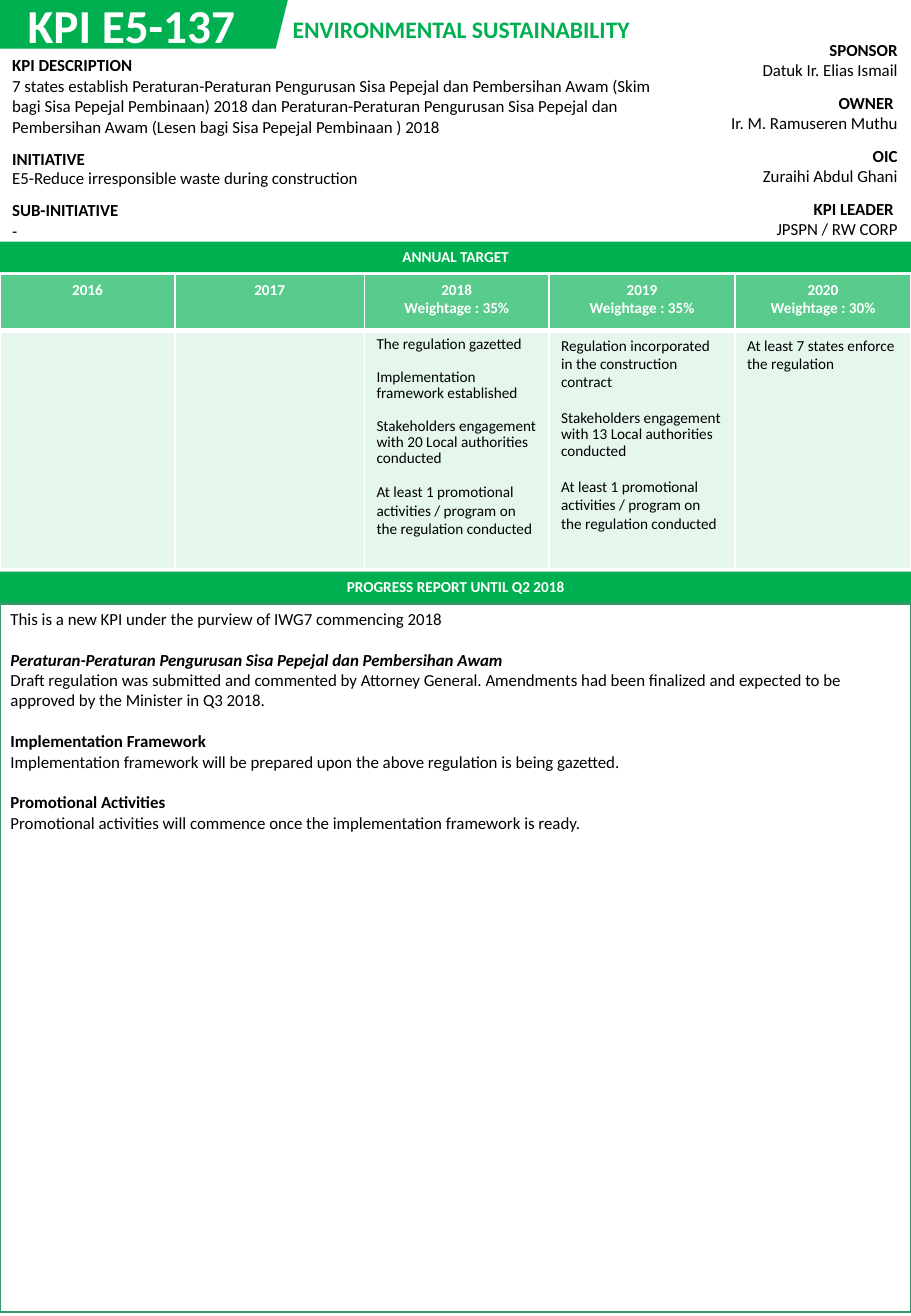
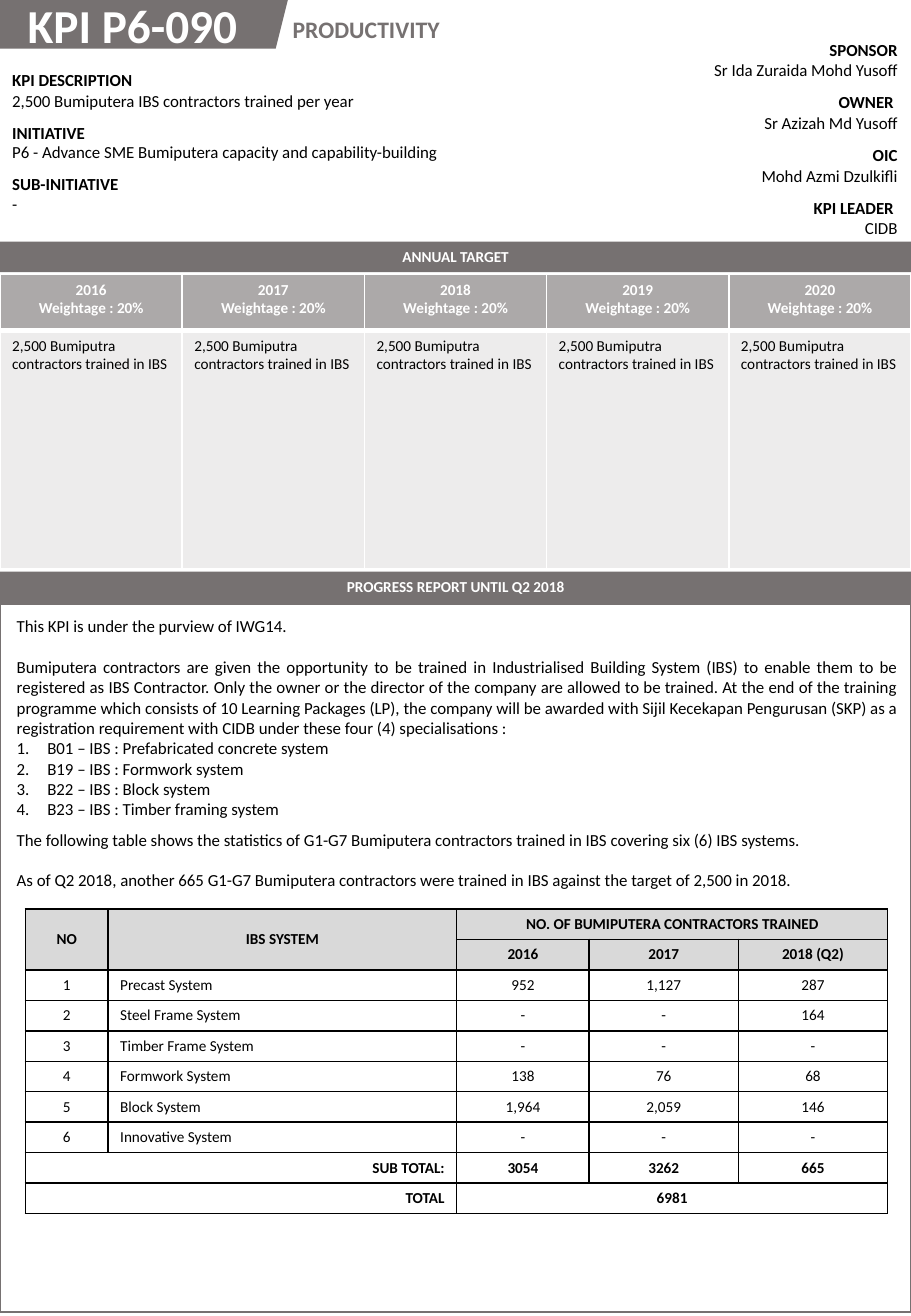
"""Build two KPI report pages with a shared header, target table and progress report."""
from lxml import etree
from pptx import Presentation
from pptx.dml.color import RGBColor
from pptx.enum.shapes import MSO_SHAPE
from pptx.enum.text import MSO_ANCHOR, PP_ALIGN
from pptx.oxml.ns import qn
from pptx.util import Cm, Pt

LEFT, CENTER, RIGHT, JUSTIFY = PP_ALIGN.LEFT, PP_ALIGN.CENTER, PP_ALIGN.RIGHT, PP_ALIGN.JUSTIFY
MIDDLE = MSO_ANCHOR.MIDDLE
RECTANGLE, PARALLELOGRAM = MSO_SHAPE.RECTANGLE, MSO_SHAPE.PARALLELOGRAM
FONT = "Calibri"
COLORS = {"black": "000000", "white": "FFFFFF", "green": "00B050", "frame green": "339966",
          "gray": "767171", "light gray": "D9D9D9"}
PAGE_WIDTH, PAGE_HEIGHT = 19.05, 27.51
BLANK_LINE = 12.2
YEARS = ["2016", "2017", "2018", "2019", "2020"]
ROLES = ["SPONSOR", "OWNER ", "OIC", "KPI LEADER "]
SECTIONS = ["KPI DESCRIPTION", "INITIATIVE", "SUB-INITIATIVE"]
PROMOTION = "At least 1 promotional activities / program on the regulation conducted"
TRAINED = "2,500 Bumiputra contractors trained in IBS"

PAGES = [
    {
        "code": "KPI E5-137", "topic": "ENVIRONMENTAL SUSTAINABILITY",
        "accent": "green", "frame": "frame green", "header alpha": 65, "body alpha": 10,
        "people": ["Datuk Ir. Elias Ismail", "Ir. M. Ramuseren Muthu", "Zuraihi Abdul Ghani",
                   "JPSPN / RW CORP"],
        "people left": 12.83, "sections top": 1.04, "sections width": 14.15,
        "sections": [
            "7 states establish Peraturan-Peraturan Pengurusan Sisa Pepejal dan Pembersihan Awam "
            "(Skim bagi Sisa Pepejal Pembinaan) 2018 dan Peraturan-Peraturan Pengurusan Sisa "
            "Pepejal dan Pembersihan Awam (Lesen bagi Sisa Pepejal Pembinaan ) 2018",
            "E5-Reduce irresponsible waste during construction", "-"],
        "year widths": [3.66, 3.96, 3.86, 3.89, 3.68],
        "weightages": [None, None, 35, 35, 30],
        "targets": [
            [], [],
            [("The regulation gazetted", {"spacing": 0.88}),
             ("Implementation framework established", {"spacing": 0.88, "before": 9.7}),
             ("Stakeholders engagement with 20 Local authorities conducted",
              {"spacing": 0.88, "before": 9.7}),
             (PROMOTION, {"before": 9.7})],
            [("Regulation incorporated in the construction contract", {}),
             ("Stakeholders engagement with 13 Local authorities conducted",
              {"spacing": 0.88, "before": 11}),
             (PROMOTION, {"before": 11})],
            [("At least 7 states enforce the regulation", {})]],
        "report box": (-0.03, 12.6, 19.08, 4.95),
        "report": [
            ("This is a new KPI under the purview of IWG7 commencing 2018", {}),
            ("Peraturan-Peraturan Pengurusan Sisa Pepejal dan Pembersihan Awam",
             {"bold": True, "italic": True, "before": BLANK_LINE}),
            ("Draft regulation was submitted and commented by Attorney General. Amendments had "
             "been finalized and expected to be approved by the Minister in Q3 2018.", {}),
            ("Implementation Framework", {"bold": True, "before": BLANK_LINE}),
            ("Implementation framework will be prepared upon the above regulation is being "
             "gazetted.", {}),
            ("Promotional Activities", {"bold": True, "before": BLANK_LINE}),
            ("Promotional activities will commence once the implementation framework is ready.",
             {})],
    },
    {
        "code": "KPI P6-090", "topic": "PRODUCTIVITY",
        "accent": "gray", "frame": "gray", "header alpha": 60, "body alpha": 13,
        "people": ["Sr Ida Zuraida Mohd Yusoff", "Sr Azizah Md Yusoff", "Mohd Azmi Dzulkifli",
                   "CIDB"],
        "people left": 11.99, "sections top": 1.35, "sections width": 13.23,
        "sections": ["2,500 Bumiputera IBS contractors trained per year",
                     "P6 - Advance SME Bumiputera capacity and capability-building", "-"],
        "year widths": [PAGE_WIDTH / 5] * 5,
        "weightages": [20] * 5,
        "targets": [[(TRAINED, {})]] * 5,
        "report box": (0.1, 12.75, 18.9, 8.15),
        "report": [
            ("This KPI is under the purview of IWG14.", {}),
            ("Bumiputera contractors are given the opportunity to be trained in Industrialised "
             "Building System (IBS) to enable them to be registered as IBS Contractor. Only the "
             "owner or the director of the company are allowed to be trained. At the end of the "
             "training programme which consists of 10 Learning Packages (LP), the company will be "
             "awarded with Sijil Kecekapan Pengurusan (SKP) as a registration requirement with "
             "CIDB under these four (4) specialisations :",
             {"align": JUSTIFY, "before": BLANK_LINE}),
            ("B01 – IBS : Prefabricated concrete system", {"numbered": True}),
            ("B19 – IBS : Formwork system", {"numbered": True}),
            ("B22 – IBS : Block system", {"numbered": True}),
            ("B23 – IBS : Timber framing system", {"numbered": True}),
            ("The following table shows the statistics of G1-G7 Bumiputera contractors trained in "
             "IBS covering six (6) IBS systems.", {"before": BLANK_LINE / 2}),
            ("As of Q2 2018, another 665 G1-G7 Bumiputera contractors were trained in IBS against "
             "the target of 2,500 in 2018.", {"before": BLANK_LINE})],
    },
]
STATISTICS = [
    ["NO", "IBS SYSTEM", "NO. OF BUMIPUTERA CONTRACTORS TRAINED", "", ""],
    ["", "", "2016", "2017", "2018 (Q2)"],
    ["1", "Precast System", "952", "1,127", "287"],
    ["2", "Steel Frame System", "-", "-", "164"],
    ["3", "Timber Frame System", "-", "-", "-"],
    ["4", "Formwork System", "138", "76", "68"],
    ["5", "Block System", "1,964", "2,059", "146"],
    ["6", "Innovative System", "-", "-", "-"],
    ["SUB TOTAL:", "", "3054", "3262", "665"],
    ["TOTAL", "", "6981", "", ""],
]
MERGES = [(0, 0, 1, 0), (0, 1, 1, 1), (0, 2, 0, 4), (8, 0, 8, 1), (9, 0, 9, 1), (9, 2, 9, 4)]


def write(frame, text, size=10, bold=False, italic=False, color="black", align=LEFT,
          before=0, spacing=None, numbered=False):
    """Put the text into the next free paragraph of a text frame."""
    paragraph = frame.paragraphs[-1]
    if paragraph.runs:
        paragraph = frame.add_paragraph()
    paragraph.alignment = align
    paragraph.space_before = Pt(before)
    if spacing:
        paragraph.line_spacing = spacing
    if numbered:
        properties = paragraph._p.get_or_add_pPr()
        properties.set("marL", str(Cm(0.64)))
        properties.set("indent", str(-Cm(0.64)))
        etree.SubElement(properties, qn("a:buAutoNum"), type="arabicPeriod")
    run = paragraph.add_run()
    run.text = text
    run.font.name, run.font.size = FONT, Pt(size)
    run.font.bold, run.font.italic = bold, italic
    run.font.color.rgb = RGBColor.from_string(COLORS[color])


def add_grid(slide, left, top, widths, heights, fills=None, border=None, bottoms=None):
    """Add a table with a (colour, alpha) fill and a bottom border width for each row."""
    table = slide.shapes.add_table(len(heights), len(widths), Cm(left), Cm(top),
                                   Cm(sum(widths)), Cm(sum(heights))).table
    table.first_row = table.horz_banding = False
    for column, width in zip(table.columns, widths):
        column.width = Cm(width)
    for index, (row, height) in enumerate(zip(table.rows, heights)):
        row.height = Cm(height)
        for cell in row.cells:
            properties = cell._tc.get_or_add_tcPr()
            for side in "LRTB" if border else "":
                width = bottoms[index] if bottoms and side == "B" else 1
                line = etree.SubElement(properties, qn(f"a:ln{side}"), w=str(Pt(width)))
                solid = etree.SubElement(line, qn("a:solidFill"))
                etree.SubElement(solid, qn("a:srgbClr"), val=COLORS[border])
            if fills and fills[index]:
                color, alpha = fills[index]
                cell.fill.solid()
                cell.fill.fore_color.rgb = RGBColor.from_string(COLORS[color])
                if alpha < 100:
                    etree.SubElement(properties.find(".//" + qn("a:solidFill") + "[last()]")
                                     if not border else
                                     properties.find(qn("a:solidFill")).find(qn("a:srgbClr")),
                                     qn("a:alpha"), val=str(alpha * 1000))
            else:
                cell.fill.background()
    return table


presentation = Presentation()
presentation.slide_width, presentation.slide_height = Cm(PAGE_WIDTH), Cm(PAGE_HEIGHT)

for page in PAGES:
    slide = presentation.slides.add_slide(presentation.slide_layouts[6])
    accent = page["accent"]

    people = add_grid(slide, page["people left"], 0.71, [19.02 - page["people left"]], [1.1] * 4)
    for row, (role, person) in enumerate(zip(ROLES, page["people"])):
        frame = people.cell(row, 0).text_frame
        write(frame, role, bold=True, align=RIGHT)
        write(frame, person, align=RIGHT)

    sections = add_grid(slide, 0, page["sections top"], [page["sections width"]], [1.1, 1.06, 1.06])
    for row, (section, text) in enumerate(zip(SECTIONS, page["sections"])):
        frame = sections.cell(row, 0).text_frame
        write(frame, section, bold=True)
        write(frame, text, spacing=0.88 if section == "INITIATIVE" else None)

    targets = add_grid(slide, 0, 5.74, page["year widths"], [1.17, 4.98], border="white",
                       fills=[(accent, page["header alpha"]), (accent, page["body alpha"])],
                       bottoms=[3, 1])
    for column, (year, weightage) in enumerate(zip(YEARS, page["weightages"])):
        header = targets.cell(0, column).text_frame
        write(header, year, size=9, bold=True, color="white", align=CENTER)
        if weightage:
            write(header, f"Weightage : {weightage}%", size=9, bold=True, color="white",
                  align=CENTER)
        for text, text_format in page["targets"][column]:
            write(targets.cell(1, column).text_frame, text, size=9, **text_format)

    for kind, left, top, width, height, fill, label in [
        (RECTANGLE, 0, 12.62, PAGE_WIDTH, 14.81, None, ""),
        (PARALLELOGRAM, -0.43, 0, 6.45, 1.02, accent, ""),
        (RECTANGLE, 0, 5.05, PAGE_WIDTH, 0.64, accent, "ANNUAL TARGET"),
        (RECTANGLE, 0, 11.95, PAGE_WIDTH, 0.64, accent, "PROGRESS REPORT UNTIL Q2 2018"),
    ]:
        shape = slide.shapes.add_shape(kind, Cm(left), Cm(top), Cm(width), Cm(height))
        shape.shadow.inherit = False
        if fill:
            shape.fill.solid()
            shape.fill.fore_color.rgb = RGBColor.from_string(COLORS[fill])
            shape.line.fill.background()
        else:
            shape.fill.background()
            shape.line.color.rgb = RGBColor.from_string(COLORS[page["frame"]])
            shape.line.width = Pt(1.5)
        if label:
            write(shape.text_frame, label, size=9, bold=True, color="white", align=CENTER)

    for box, wrap, paragraphs in [
        (page["report box"], True, page["report"]),
        ((5.87, 0.18, 7.82, 0.86), False,
         [(page["topic"], {"size": 14, "bold": True, "color": accent})]),
        ((0.33, -0.2, 5.69, 1.45), True,
         [(page["code"], {"size": 28, "bold": True, "color": "white"})]),
    ]:
        frame = slide.shapes.add_textbox(*map(Cm, box)).text_frame
        frame.word_wrap = wrap
        for text, text_format in paragraphs:
            write(frame, text, **text_format)

statistics = add_grid(slide, 0.53, 19, [1.73, 7.29, 2.77, 3.12, 3.12], [0.63] * len(STATISTICS),
                      fills=[("light gray", 100)] * 2 + [None] * 8, border="black")
for first_row, first_column, last_row, last_column in MERGES:
    statistics.cell(first_row, first_column).merge(statistics.cell(last_row, last_column))
for row, values in enumerate(STATISTICS):
    is_header, is_total = row < 2, row > 7
    for column, value in enumerate(values):
        cell = statistics.cell(row, column)
        cell.vertical_anchor = MIDDLE
        align = CENTER
        if is_total and column == 0:
            align = RIGHT
        elif column == 1 and not is_header:
            align = LEFT
        write(cell.text_frame, value, size=9, bold=is_header or is_total, align=align)

presentation.save("out.pptx")
